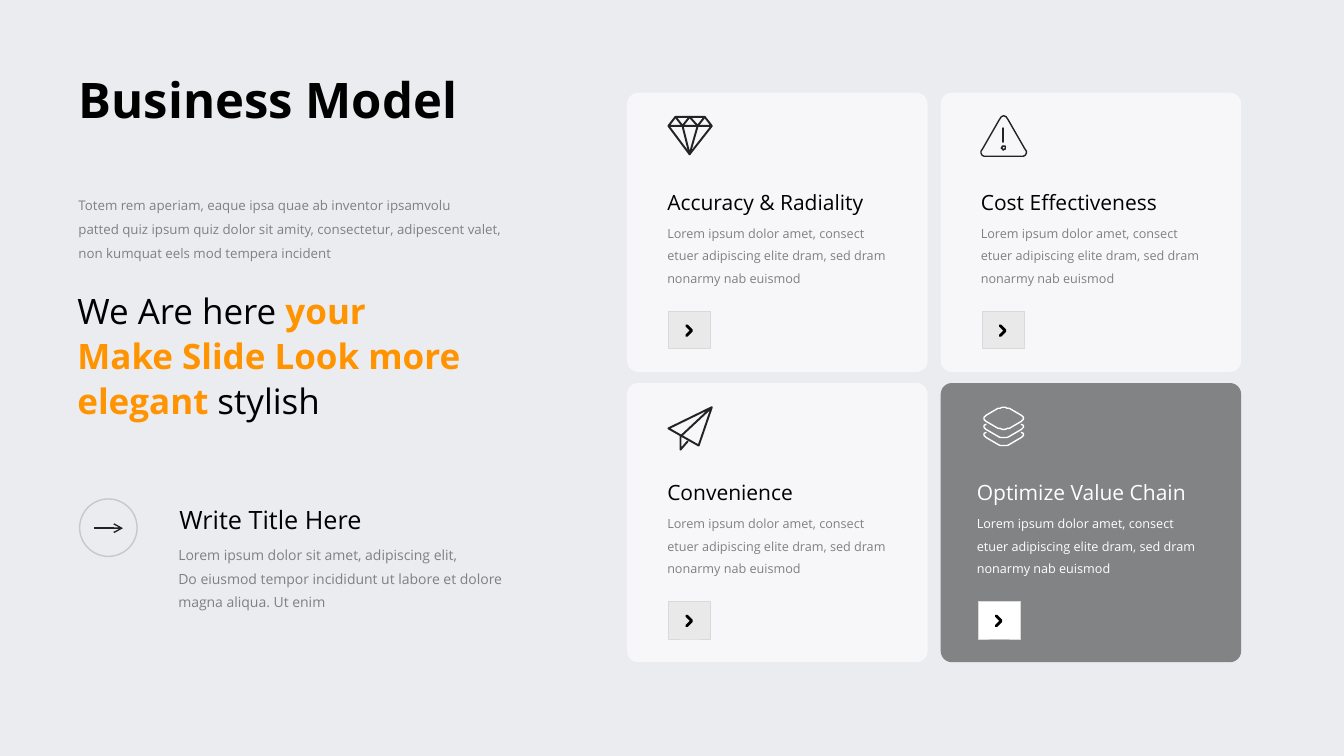
from math import cos, dist, pi, sin

from lxml import etree
from pptx import Presentation
from pptx.dml.color import RGBColor
from pptx.enum.shapes import MSO_CONNECTOR, MSO_SHAPE
from pptx.enum.text import MSO_ANCHOR, PP_ALIGN
from pptx.oxml.ns import qn
from pptx.util import Inches, Pt

# Content
FONT = "Open Sans"
BLACK, INK, GREY, ORANGE, WHITE = "000000", "232323", "808080", "FF9300", "FFFFFF"
TITLE = "Business Model"
INTRO = ["Totem rem aperiam, eaque ipsa quae ab inventor ipsamvolu",
         "patted quiz ipsum quiz dolor sit amity, consectetur, adipescent valet,",
         "non kumquat eels mod tempera incident"]
# A paragraph is a string or a list of (text, colour, bold) runs
SLOGAN = [[("We Are here ", BLACK, False), ("your", ORANGE, True)],
          [("Make Slide Look more elegant ", ORANGE, True), ("stylish", BLACK, False)]]
NOTE_TITLE = "Write Title Here"
NOTE = ["Lorem ipsum dolor sit amet, adipiscing elit,",
        "Do eiusmod tempor incididunt ut labore et dolore",
        "magna aliqua. Ut enim"]
CARD_BODY = ("Lorem ipsum dolor amet, consect etuer adipiscing elite dram, "
             "sed dram nonarmy nab euismod")
# Heading, heading width, icon, highlighted
CARDS = [("Accuracy & Radiality", 2.19, "gem", False),
         ("Cost Effectiveness", 1.96, "warning", False),
         ("Convenience", 1.46, "plane", False),
         ("Optimize Value Chain", 2.3, "layers", True)]

# Grid of cards, in inches
GRID_LEFT, GRID_TOP, CARD_W, CARD_H = 6.22, 0.92, 2.98, 2.77
STEP_X, STEP_Y = 3.11, 2.88


# Icon outlines in hundredths of an inch
def rounded(points, cut, closed=True):
    """Replace each corner by a short curve that starts `cut` before it."""
    count, outline = len(points), []
    for i, corner in enumerate(points):
        if not closed and i in (0, count - 1):
            outline.append(corner)
            continue
        ends = []
        for other in (points[i - 1], points[(i + 1) % count]):
            share = min(1, cut / dist(corner, other))
            ends.append([c + (o - c) * share for c, o in zip(corner, other)])
        for t in (0, 0.2, 0.4, 0.6, 0.8, 1):
            outline.append(tuple((1 - t) ** 2 * a + 2 * t * (1 - t) * c + t * t * b
                                 for a, c, b in zip(ends[0], corner, ends[1])))
    return outline + outline[:1] if closed else outline


def ring(x, y, radius, steps=16):
    return [(x + radius * cos(2 * pi * i / steps), y + radius * sin(2 * pi * i / steps))
            for i in range(steps + 1)]


def layer_edge(drop):
    return rounded([(5, 9.2 + drop), (0, 12 + drop), (22.5, 24.4 + drop),
                    (45, 12 + drop), (40, 9.2 + drop)], 6, closed=False)


# Line width in points, then strokes
ICONS = {
    "gem": (1.4, [[(1, 10), (8, 1), (37, 1), (44, 10), (22.5, 38), (1, 10), (44, 10)],
                  [(8, 1), (15, 10), (22.5, 1), (30, 10), (37, 1)],
                  [(15, 10), (22.5, 38), (30, 10)]]),
    "warning": (1, [rounded([(22.5, -4.75), (48.4, 40.5), (-3.4, 40.5)], 10),
                    [(22.5, 12.5), (22.5, 25.5)], ring(22.5, 31.5, 2)]),
    "plane": (1.4, [[(43.5, 1), (1, 22), (31, 39), (43.5, 1), (13, 30), (13, 43), (20, 35)]]),
    "layers": (1, [rounded([(22.5, -0.4), (45, 12), (22.5, 24.4), (0, 12)], 6),
                   layer_edge(8.3), layer_edge(16.6)]),
    "chevron": (2, [[(18, 13.7), (23.2, 19), (18, 24.3)]]),
}

prs = Presentation()
prs.slide_width, prs.slide_height = Inches(13.33), Inches(7.5)
slide = prs.slides.add_slide(prs.slide_layouts[5])
shapes = slide.shapes


def rgb(code):
    return RGBColor.from_string(code)


slide.background.fill.solid()
slide.background.fill.fore_color.rgb = rgb("EBECF0")


def add_text(paragraphs, box, size, color=BLACK, bold=False, spacing=None, wrap=True, holder=None):
    holder = holder or shapes.add_textbox(0, 0, 0, 0)
    holder.left, holder.top, holder.width, holder.height = map(Inches, box)
    frame = holder.text_frame
    frame.word_wrap, frame.vertical_anchor = wrap, MSO_ANCHOR.TOP
    for i, content in enumerate(paragraphs):
        paragraph = frame.add_paragraph() if i else frame.paragraphs[0]
        paragraph.alignment = PP_ALIGN.LEFT
        if spacing:
            paragraph.line_spacing = Pt(spacing)
        runs = [(content, color, bold)] if isinstance(content, str) else content
        for text, run_color, run_bold in runs:
            run = paragraph.add_run()
            run.text = text
            run.font.name, run.font.size, run.font.bold = FONT, Pt(size), run_bold
            run.font.color.rgb = rgb(run_color)


def style(shape, fill=None, line=None, width=1, opacity=100):
    shape.shadow.inherit = False
    if fill:
        shape.fill.solid()
        shape.fill.fore_color.rgb = rgb(fill)
        if opacity < 100:
            color = shape.fill._xPr.find(".//" + qn("a:srgbClr"))
            etree.SubElement(color, qn("a:alpha"), val=str(opacity * 1000))
    else:
        shape.fill.background()
    if line:
        shape.line.color.rgb, shape.line.width = rgb(line), Pt(width)
    else:
        shape.line.fill.background()


def add_shape(kind, box, **look):
    shape = shapes.add_shape(kind, *map(Inches, box))
    style(shape, **look)
    return shape


def add_icon(name, left, top, color):
    width, strokes = ICONS[name]
    builder = shapes.build_freeform(*strokes[0][0], scale=Inches(0.01))
    for i, stroke in enumerate(strokes):
        if i:
            builder.move_to(*stroke[0])
        builder.add_line_segments(stroke[1:], close=False)
    icon = builder.convert_to_shape(Inches(left), Inches(top))
    style(icon, line=color, width=width)
    outline = icon.line._get_or_add_ln()
    outline.set("cap", "rnd")
    etree.SubElement(outline, qn("a:round"))


# Left column
add_text([TITLE], (0.68, 0.64, 4.13, 0.69), 35, bold=True, wrap=False, holder=shapes.title)
add_text(INTRO, (0.68, 1.83, 4.98, 0.88), 9.5, GREY, spacing=17)
add_text(SLOGAN, (0.67, 2.8, 4.23, 1.44), 25, spacing=32)

# Note with arrow in a circle
add_text([NOTE_TITLE], (1.68, 4.95, 2.05, 0.4), 18, wrap=False)
add_text(NOTE, (1.67, 5.3, 3.61, 0.82), 10, GREY, spacing=17)
add_shape(MSO_SHAPE.OVAL, (0.79, 4.95, 0.57, 0.57), line="C8C8C8")
arrow = shapes.add_connector(MSO_CONNECTOR.STRAIGHT, *map(Inches, (0.93, 5.24, 1.22, 5.24)))
arrow.line.color.rgb, arrow.line.width = rgb(INK), Pt(1)
etree.SubElement(arrow.line._get_or_add_ln(), qn("a:tailEnd"), type="arrow")
etree.SubElement(arrow._element.spPr, qn("a:effectLst"))

# Cards
for i, (heading, heading_width, icon_name, highlighted) in enumerate(CARDS):
    row, column = divmod(i, 2)
    left, top = GRID_LEFT + column * STEP_X, GRID_TOP + row * STEP_Y
    text_left = left + (0.26 if highlighted else 0.3)
    button_left, button_top = text_left + 0.11, top + 2.17
    card = add_shape(MSO_SHAPE.ROUNDED_RECTANGLE, (left, top, CARD_W, CARD_H),
                     fill=INK if highlighted else WHITE, opacity=52 if highlighted else 62)
    card.adjustments[0] = 0.04
    add_icon(icon_name, left + 0.4, top + 0.23, WHITE if highlighted else INK)
    add_text([heading], (text_left, top + 0.91, heading_width, 0.35), 15,
             WHITE if highlighted else BLACK, wrap=False)
    add_text([CARD_BODY], (text_left, top + 1.2, 2.37, 0.86), 9,
             WHITE if highlighted else GREY, spacing=16)
    add_shape(MSO_SHAPE.RECTANGLE, (button_left, button_top, 0.42, 0.37),
              fill=WHITE if highlighted else "E9E9E9", line="D9D9D9", width=0.5)
    add_icon("chevron", button_left, button_top, BLACK)

prs.save("out.pptx")
